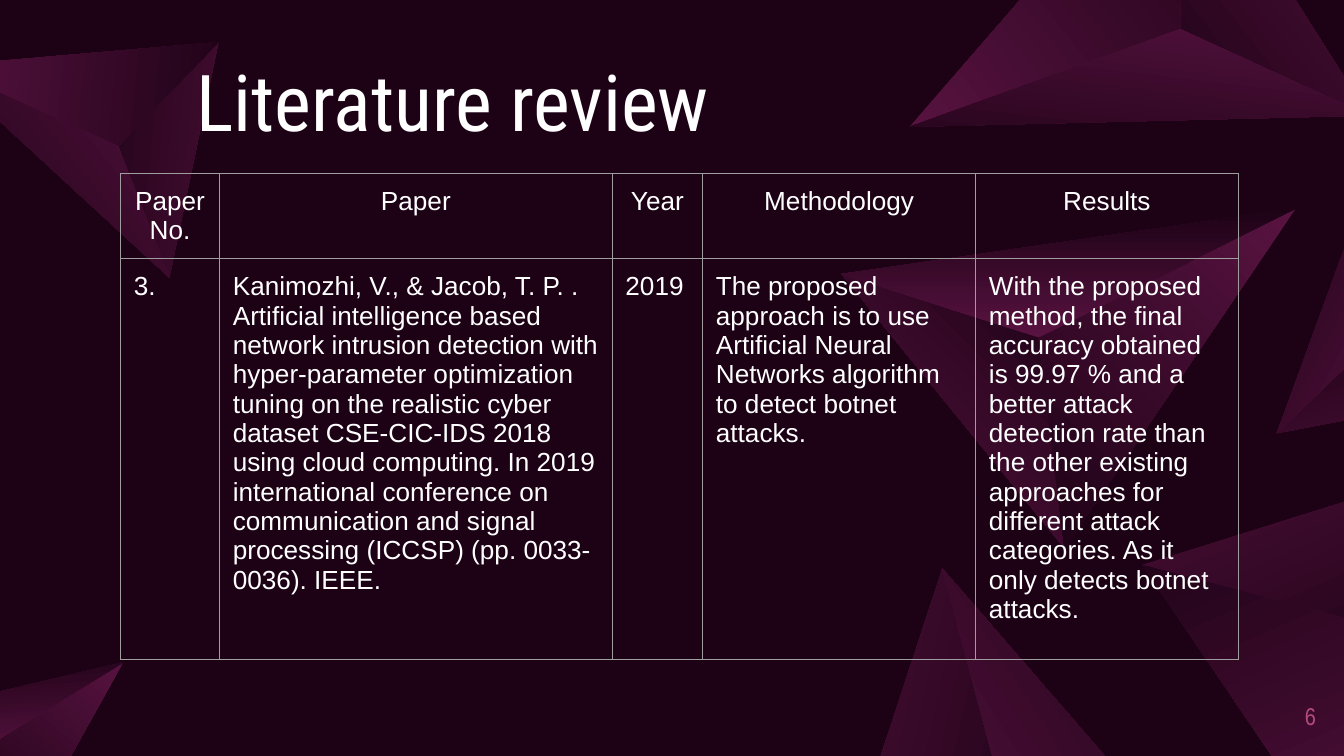
from dataclasses import dataclass
from math import cos, radians, sin

from lxml import etree
from pptx import Presentation
from pptx.dml.color import RGBColor
from pptx.enum.text import MSO_ANCHOR, MSO_AUTO_SIZE, PP_ALIGN
from pptx.oxml.ns import qn
from pptx.util import Cm, Pt

LEFT, CENTER, RIGHT = PP_ALIGN.LEFT, PP_ALIGN.CENTER, PP_ALIGN.RIGHT
TOP, MIDDLE, BOTTOM = MSO_ANCHOR.TOP, MSO_ANCHOR.MIDDLE, MSO_ANCHOR.BOTTOM
NO_AUTOFIT = MSO_AUTO_SIZE.NONE


@dataclass(frozen=True)
class Theme:
    background: RGBColor = RGBColor(0x1D, 0x02, 0x16)
    facet: RGBColor = RGBColor(0x59, 0x13, 0x41)
    text: RGBColor = RGBColor(0xFF, 0xFF, 0xFF)
    number: RGBColor = RGBColor(0xB6, 0x4B, 0x7F)
    border: RGBColor = RGBColor(0x9E, 0x9E, 0x9E)
    title_size: Pt = Pt(42)
    table_size: Pt = Pt(14)
    number_size: Pt = Pt(13)
    border_width: Pt = Pt(0.75)


theme = Theme()


def style_text(frame, anchor, margin, alignment, name, size, color):
    """Format every paragraph of a text frame."""
    frame.word_wrap = True
    frame.auto_size = NO_AUTOFIT
    frame.vertical_anchor = anchor
    frame.margin_left = frame.margin_right = margin
    frame.margin_top = frame.margin_bottom = margin
    for paragraph in frame.paragraphs:
        paragraph.alignment = alignment
        paragraph.font.name = name
        paragraph.font.size = size
        paragraph.font.color.rgb = color


def add_borders(cell):
    """Draw a thin line on all four sides of a table cell."""
    properties = cell._tc.get_or_add_tcPr()
    for index, side in enumerate(("a:lnL", "a:lnR", "a:lnT", "a:lnB")):
        line = etree.Element(qn(side), w=str(theme.border_width))
        fill = etree.SubElement(line, qn("a:solidFill"))
        etree.SubElement(fill, qn("a:srgbClr"), val=str(theme.border))
        properties.insert(index, line)


presentation = Presentation()
presentation.slide_width = Cm(25.4)
presentation.slide_height = Cm(14.29)
slide = presentation.slides.add_slide(presentation.slide_layouts[5])
slide.background.fill.solid()
slide.background.fill.fore_color.rgb = theme.background

# Gems: gradient facets around one ridge point, measured from the gem's middle
west, south, ridge, east = (-4.29, -1.97), (-0.07, 3.22), (-0.56, -0.77), (4.3, -3.21)
facets = {  # corners, gradient angle
    "lower left": ((west, south, ridge), 45),
    "lower right": ((south, east, ridge), 225),
    "upper": ((west, ridge, east), 90),
}
gems = [  # centre x, centre y, scale, rotation, facets within the slide
    (24.56, 11.94, 1, 111.7, ["lower left", "lower right"]),
    (2.4, 2.14, 0.68, 230.9, facets),
    (20.19, 7.15, 1, 0, facets),
    (21.84, -0.28, 1, 186.8, facets),
    (26.09, 6.71, 0.52, 298.3, ["lower left", "upper"]),
    (18.47, 15.42, 1, 57.3, ["lower left", "upper"]),
    (0.25, 14.38, 0.52, 354.9, ["lower right", "upper"]),
]
for center_x, center_y, scale, rotation, facet_names in gems:
    cosine, sine = cos(radians(rotation)), sin(radians(rotation))
    for facet_name in facet_names:
        corners, angle = facets[facet_name]
        points = [(Cm(scale * x), Cm(scale * y)) for x, y in corners]
        builder = slide.shapes.build_freeform(*points[0])
        builder.add_line_segments(points[1:], close=True)
        facet = builder.convert_to_shape()
        # Turn the facet's own middle around the gem's middle
        x = facet.left + facet.width / 2
        y = facet.top + facet.height / 2
        facet.left = round(Cm(center_x) + x * cosine - y * sine - facet.width / 2)
        facet.top = round(Cm(center_y) + x * sine + y * cosine - facet.height / 2)
        facet.rotation = rotation
        facet.shadow.inherit = False
        facet.line.fill.background()
        facet.fill.gradient()
        facet.fill.gradient_angle = angle
        bright, dark = facet.fill.gradient_stops
        bright.color.rgb = theme.facet
        dark.color.rgb = theme.background

# Title, brought in front of the gems
title = slide.shapes.title
slide.shapes.element.append(title.element)
title.left, title.top = Cm(3.71), Cm(1.16)
title.width, title.height = Cm(17.98), Cm(1.65)
title.text_frame.text = "Literature review"
style_text(title.text_frame, BOTTOM, 0, LEFT, "Roboto Condensed",
           theme.title_size, theme.text)
title.text_frame.paragraphs[0].line_spacing = 0.9

# Slide number
number = slide.shapes.add_textbox(Cm(23.75), Cm(12.98), Cm(1.12), Cm(1.09))
number.text_frame.text = "6"
style_text(number.text_frame, MIDDLE, 0, RIGHT, "Arial Narrow",
           theme.number_size, theme.number)

# Table of reviewed papers
rows = [
    ["Paper\vNo.", "Paper", "Year", "Methodology", "Results"],
    [
        "3.",
        "Kanimozhi, V., & Jacob, T. P. . Artificial intelligence based network "
        "intrusion detection with hyper-parameter optimization tuning on the "
        "realistic cyber dataset CSE-CIC-IDS 2018 using cloud computing. In 2019 "
        "international conference on communication and signal processing (ICCSP) "
        "(pp. 0033-0036). IEEE.",
        "2019",
        "The proposed approach is to use Artificial Neural Networks algorithm to "
        "detect botnet attacks.",
        "With the proposed method, the final accuracy obtained is 99.97 % and a "
        "better attack detection rate than the other existing approaches for "
        "different attack categories. As it only detects botnet attacks.",
    ],
]
column_widths = [1.87, 7.42, 1.71, 5.16, 4.96]
row_heights = [1.61, 7.57]
table = slide.shapes.add_table(
    len(rows), len(column_widths), Cm(2.28), Cm(3.28),
    Cm(sum(column_widths)), Cm(sum(row_heights))).table
table.first_row = table.horz_banding = False
for column, width in zip(table.columns, column_widths):
    column.width = Cm(width)
for row_index, (height, texts) in enumerate(zip(row_heights, rows)):
    table.rows[row_index].height = Cm(height)
    for column_index, text in enumerate(texts):
        cell = table.cell(row_index, column_index)
        cell.text = text
        cell.fill.background()
        cell.vertical_anchor = TOP
        cell.margin_left = cell.margin_right = Cm(0.25)
        cell.margin_top = cell.margin_bottom = Cm(0.25)
        for paragraph in cell.text_frame.paragraphs:
            paragraph.alignment = CENTER if row_index == 0 else LEFT
            paragraph.font.name = "Arial"
            paragraph.font.size = theme.table_size
            paragraph.font.color.rgb = theme.text
        add_borders(cell)

presentation.save("out.pptx")
